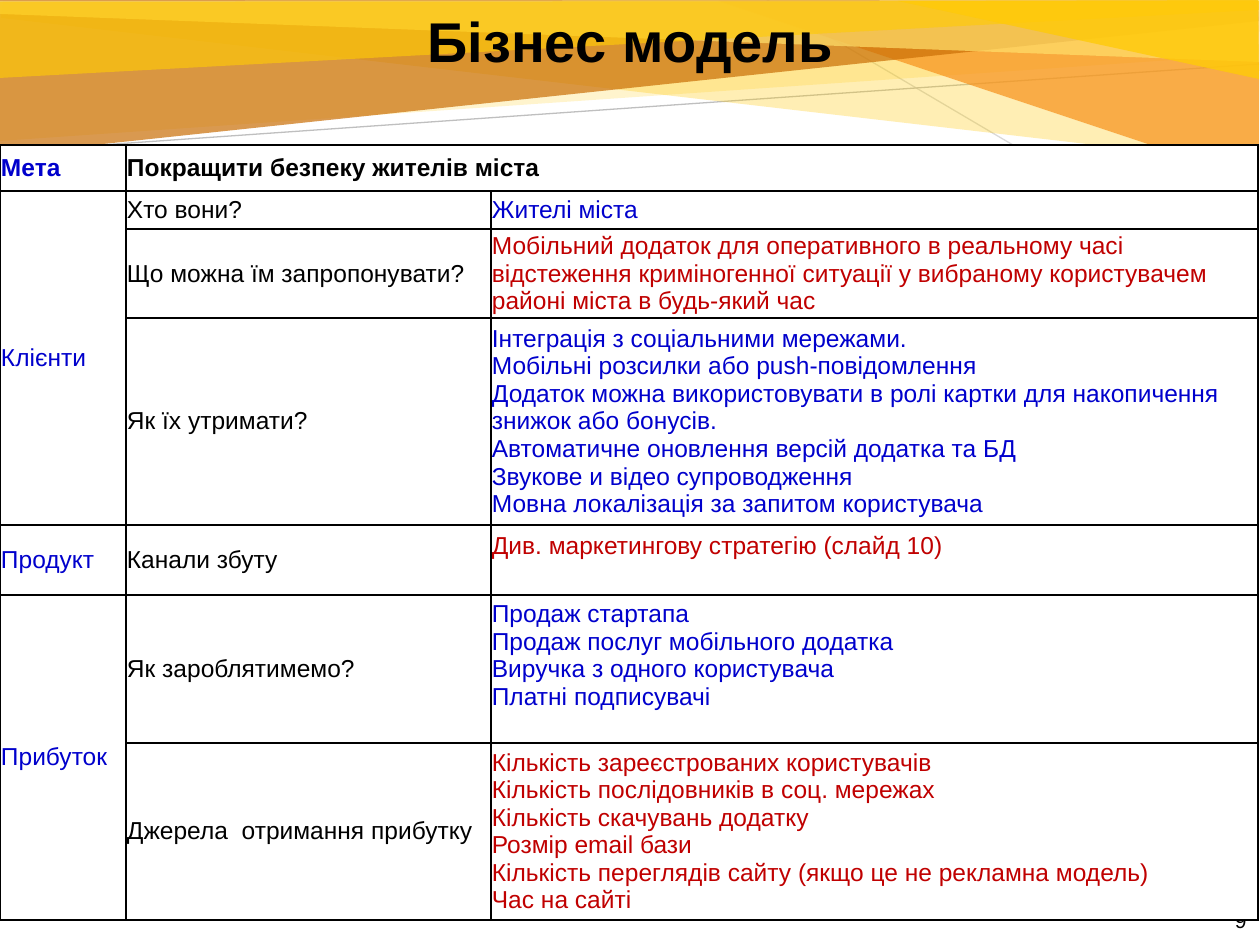
from lxml import etree
from pptx import Presentation
from pptx.dml.color import RGBColor
from pptx.enum.shapes import MSO_CONNECTOR
from pptx.enum.text import MSO_ANCHOR, PP_ALIGN
from pptx.oxml.ns import qn
from pptx.util import Pt

PX = 914400 // 126
STRAIGHT = MSO_CONNECTOR.STRAIGHT
TOP, MIDDLE = MSO_ANCHOR.TOP, MSO_ANCHOR.MIDDLE
LEFT, CENTER, RIGHT = PP_ALIGN.LEFT, PP_ALIGN.CENTER, PP_ALIGN.RIGHT
BLACK, WHITE, BLUE, RED = "000000", "FFFFFF", "0000CC", "C00000"
YELLOW = "FFCA08"


def px(n):
    return n * PX


def color(value):
    return RGBColor.from_string(value)


def write(tf, text, size=14, fill=BLACK, bold=False, align=LEFT, anchor=MIDDLE):
    tf.word_wrap = True
    tf.vertical_anchor = anchor
    for i, line in enumerate(text.split("\n")):
        p = tf.add_paragraph() if i else tf.paragraphs[0]
        p.alignment = align
        r = p.add_run()
        r.text = line
        r.font.name = "Arial"
        r.font.size = Pt(size)
        r.font.bold = bold
        r.font.color.rgb = color(fill)


class Deck:
    def __init__(self, width, height):
        self.prs = Presentation()
        self.prs.slide_width, self.prs.slide_height = px(width), px(height)
        self.s = self.prs.slides.add_slide(self.prs.slide_layouts[5])

    def line(self, x1, y1, x2, y2, stroke):
        sp = self.s.shapes.add_connector(STRAIGHT, px(x1), px(y1), px(x2), px(y2))
        sp.line.color.rgb = color(stroke)
        sp.line.width = Pt(0.75)
        etree.SubElement(sp.element.spPr, qn("a:effectLst"))

    def polygon(self, points, fill, opacity):
        start, *rest = [(px(x), px(y)) for x, y in points]
        builder = self.s.shapes.build_freeform(*start, scale=1.0)
        builder.add_line_segments(rest, close=True)
        sp = builder.convert_to_shape()
        sp.shadow.inherit = False
        sp.fill.solid()
        sp.fill.fore_color.rgb = color(fill)
        sp.line.fill.background()
        clr = sp.element.spPr.find(".//" + qn("a:srgbClr"))
        etree.SubElement(clr, qn("a:alpha"), val=str(opacity * 1000))

    def text(self, x, y, w, h, text, **fmt):
        sp = self.s.shapes.add_textbox(px(x), px(y), px(w), px(h))
        write(sp.text_frame, text, **fmt)

    def title(self, x, y, w, h, text, **fmt):
        sp = self.s.shapes.title
        sp.left, sp.top, sp.width, sp.height = px(x), px(y), px(w), px(h)
        sp.element.getparent().append(sp.element)
        write(sp.text_frame, text, **fmt)

    def table(self, x, y, cols, rows):
        frame = self.s.shapes.add_table(len(rows), len(cols), px(x), px(y),
                                        px(sum(cols)), px(sum(rows)))
        table = frame.table
        for col, width in zip(table.columns, cols):
            col.width = px(width)
        for row, height in zip(table.rows, rows):
            row.height = px(height)
        for cell in table.iter_cells():
            self.style_cell(cell)
        return table

    def style_cell(self, cell):
        cell.margin_left = cell.margin_right = px(1)
        cell.margin_top = cell.margin_bottom = 0
        cell.vertical_anchor = MIDDLE
        tc_pr = cell._tc.get_or_add_tcPr()
        for side in ("lnL", "lnR", "lnT", "lnB"):
            ln = etree.SubElement(tc_pr, qn("a:" + side), w=str(Pt(1)))
            solid = etree.SubElement(ln, qn("a:solidFill"))
            etree.SubElement(solid, qn("a:srgbClr"), val=BLACK)
        cell.fill.solid()
        cell.fill.fore_color.rgb = color(WHITE)


BANDS = [
    ([(1, 18), (1259, 164), (1260, 0), (3, 1)], YELLOW, 30),
    ([(0, 141), (1259, 54), (1259, 1), (0, 1)], YELLOW, 20),
    ([(1259, 181), (719, 1), (1259, 1)], "F8931D", 72),
    ([(0, 155), (1259, 21), (1258, 0), (0, 0)], "CA6F06", 70),
    ([(0, 14), (1259, 62), (1259, 0), (0, 1)], "FFDF6B", 70),
    ([(0, 78), (1259, 10), (1259, 1), (0, 2)], YELLOW, 65),
    ([(1259, 79), (898, 1), (1258, 0)], YELLOW, 80),
]

COLS = [126, 365, 767]
ROWS = [46, 38, 89, 207, 70, 148, 177]

SECTIONS = [(1, 3, "Клієнти"), (4, 4, "Продукт"), (5, 6, "Прибуток")]

ANSWERS = [
    ("Хто вони?", "Жителі міста", BLUE, 0),
    ("Що можна їм запропонувати?",
     "Мобільний додаток для оперативного в реальному часі відстеження "
     "криміногенної ситуації у вибраному користувачем районі міста в будь-який час",
     RED, 0),
    ("Як їх утримати?",
     "Інтеграція з соціальними мережами.\n"
     "Мобільні розсилки або push-повідомлення\n"
     "Додаток можна використовувати в ролі картки для накопичення знижок або бонусів.\n"
     "Автоматичне оновлення версій додатка та БД\n"
     "Звукове и відео супроводження\n"
     "Мовна локалізація за запитом користувача", BLUE, 0),
    ("Канали збуту", "Див. маркетингову стратегію (слайд 10)", RED, 27),
    ("Як зароблятимемо?",
     "Продаж стартапа\n"
     "Продаж послуг мобільного додатка\n"
     "Виручка з одного користувача\n"
     "Платні подписувачі", BLUE, 27),
    ("Джерела  отримання прибутку",
     "Кількість зареєстрованих користувачів\n"
     "Кількість послідовників в соц. мережах\n"
     "Кількість скачувань додатку\n"
     "Розмір email бази\n"
     "Кількість переглядів сайту (якщо це не рекламна модель)\n"
     "Час на сайті", RED, 0),
]


def main():
    deck = Deck(1260, 945)
    deck.line(1259, 290, 767, 0, "D9D9D9")
    deck.line(1, 152, 1259, 64, "BFBFBF")
    for points, fill, opacity in BANDS:
        deck.polygon(points, fill, opacity)
    deck.text(1188, 895, 71, 50, "9", size=12, align=RIGHT)
    deck.title(1, 0, 1259, 81, "Бізнес модель", size=32, bold=True,
               align=CENTER, anchor=TOP)

    table = deck.table(0, 145, COLS, ROWS)
    table.cell(0, 1).merge(table.cell(0, 2))
    write(table.cell(0, 0).text_frame, "Мета", fill=BLUE, bold=True)
    write(table.cell(0, 1).text_frame, "Покращити безпеку жителів міста", bold=True)
    for first, last, name in SECTIONS:
        if last > first:
            table.cell(first, 0).merge(table.cell(last, 0))
        write(table.cell(first, 0).text_frame, name, fill=BLUE)
    for row, (question, answer, fill, bottom) in enumerate(ANSWERS, 1):
        write(table.cell(row, 1).text_frame, question)
        cell = table.cell(row, 2)
        cell.margin_bottom = px(bottom)
        write(cell.text_frame, answer, fill=fill)
    deck.prs.save("out.pptx")


if __name__ == "__main__":
    main()
